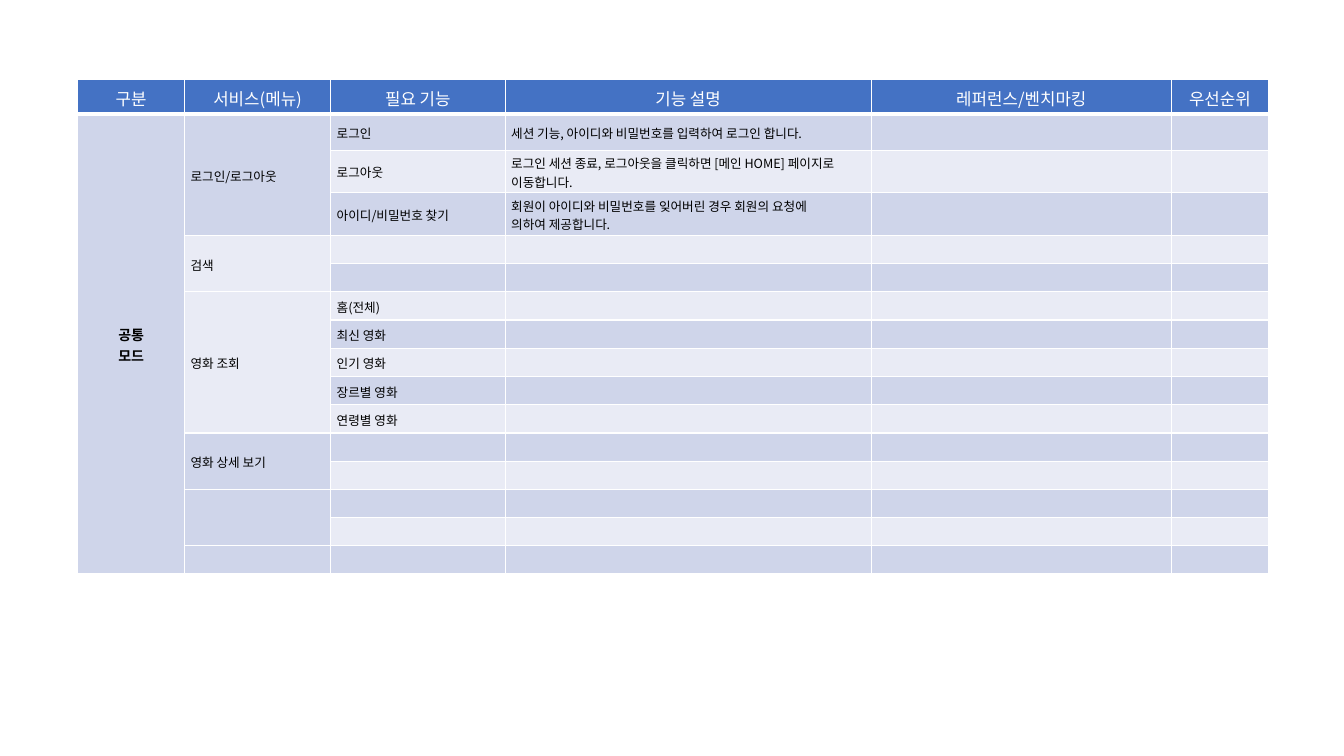
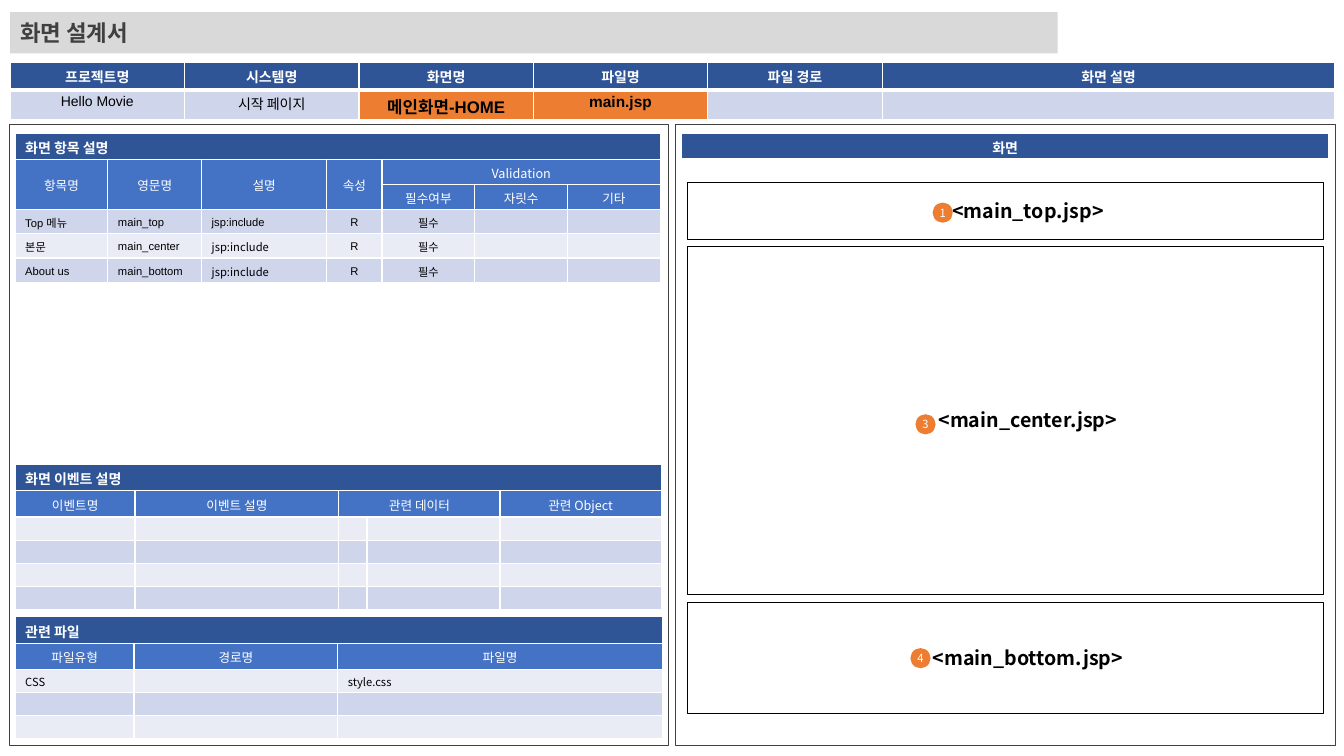
from dataclasses import dataclass, replace

from lxml import etree
from pptx import Presentation
from pptx.dml.color import RGBColor
from pptx.enum.shapes import MSO_SHAPE
from pptx.enum.text import MSO_ANCHOR, PP_ALIGN
from pptx.oxml.ns import qn
from pptx.util import Inches, Pt

RECT, PILL = MSO_SHAPE.RECTANGLE, MSO_SHAPE.ROUNDED_RECTANGLE
TOP, MIDDLE = MSO_ANCHOR.TOP, MSO_ANCHOR.MIDDLE
LEFT, CENTER = PP_ALIGN.LEFT, PP_ALIGN.CENTER

WHITE, BLACK, DARK_GRAY, LIGHT_GRAY = "FFFFFF", "000000", "404040", "D9D9D9"
NAVY, BLUE, ORANGE = "2F5597", "4472C4", "ED7D31"
BANDS = ("E9EBF5", "CFD5EA")
KOREAN, LATIN = "Noto Sans CJK KR", "Arial"


def rgb(value):
    return RGBColor.from_string(value)


@dataclass(frozen=True)
class Style:
    size: int
    color: str = BLACK
    bold: bool = False
    font: str = KOREAN
    align: int = LEFT
    fill: str = ""
    anchor: int = MIDDLE
    rule: int = 1


SECTION = Style(10, WHITE, True, fill=NAVY)
BANNER = replace(SECTION, align=CENTER, anchor=TOP, rule=3)
HEAD = Style(9, WHITE, align=CENTER, fill=BLUE)
MAIN_HEAD = replace(HEAD, size=12, rule=3)
BODY = Style(9)
SMALL = Style(8)
ITEM = replace(SMALL, font=LATIN)
INFO = Style(10, font=LATIN, align=CENTER, anchor=TOP)
INFO_KEY = replace(INFO, size=12, bold=True, fill=ORANGE)
TITLE = Style(16, DARK_GRAY, True)
LABEL = Style(14, bold=True, align=CENTER)
BADGE = Style(8, WHITE, align=CENTER)


class Deck:
    def __init__(self):
        self.prs = Presentation()
        self.prs.slide_width, self.prs.slide_height = Inches(13.33), Inches(7.5)
        self.slide = None

    def new_slide(self):
        self.slide = self.prs.slides.add_slide(self.prs.slide_layouts[6])

    def set_text(self, tf, text, style):
        tf.text = text
        for p in tf.paragraphs:
            p.alignment = style.align
            if not p.runs:
                etree.SubElement(p._p, qn("a:endParaRPr"), sz=str(style.size * 100))
            for r in p.runs:
                r.font.size = Pt(style.size)
                r.font.bold = style.bold
                r.font.color.rgb = rgb(style.color)
                r.font.name = style.font
                etree.SubElement(r._r.get_or_add_rPr(), qn("a:ea"), typeface=KOREAN)

    def box(self, at, fill=None, line=None, width=0.5, kind=RECT):
        s = self.slide.shapes.add_shape(kind, *map(Inches, at))
        s.shadow.inherit = False
        if fill:
            s.fill.solid()
            s.fill.fore_color.rgb = rgb(fill)
        else:
            s.fill.background()
        if line:
            s.line.color.rgb = rgb(line)
            s.line.width = Pt(width)
        else:
            s.line.fill.background()
        return s

    def title(self, at, text):
        tf = self.box(at, LIGHT_GRAY).text_frame
        tf.vertical_anchor = MIDDLE
        self.set_text(tf, text, TITLE)

    def centered(self, s, text, style):
        tf = s.text_frame
        tf.margin_left = tf.margin_right = tf.margin_top = tf.margin_bottom = 0
        tf.vertical_anchor = MIDDLE
        tf.word_wrap = True
        self.set_text(tf, text, style)

    def label(self, at, text):
        self.centered(self.slide.shapes.add_textbox(*map(Inches, at)), text, LABEL)

    def badge(self, x, y, text):
        s = self.box((x, y, 0.2, 0.2), ORANGE, kind=PILL)
        s.adjustments[0] = 0.5
        self.centered(s, text, BADGE)

    def borders(self, cell, bottom):
        tc_pr = cell._tc.get_or_add_tcPr()
        for side, width in (("L", 1), ("R", 1), ("T", 1), ("B", bottom)):
            ln = etree.SubElement(tc_pr, qn(f"a:ln{side}"), w=str(Pt(width)))
            fill = etree.SubElement(ln, qn("a:solidFill"))
            etree.SubElement(fill, qn("a:srgbClr"), val=WHITE)

    def table(self, x, y, widths, heights, rows, spans=(), special=None, pad=0.1):
        special = special or {}
        frame = self.slide.shapes.add_table(
            len(rows), len(widths), Inches(x), Inches(y),
            Inches(sum(widths)), Inches(sum(heights)))
        table = frame.table
        table.first_row = table.horz_banding = False
        for column, width in zip(table.columns, widths):
            column.width = Inches(width)
        for i, (height, (row_style, texts)) in enumerate(zip(heights, rows)):
            table.rows[i].height = Inches(height)
            for j in range(len(widths)):
                style = special.get((i, j), row_style)
                cell = table.cell(i, j)
                cell.margin_left = cell.margin_right = Inches(pad)
                cell.margin_top, cell.margin_bottom = Inches(0.04), Inches(0.02)
                cell.vertical_anchor = style.anchor
                self.borders(cell, style.rule)
                cell.fill.solid()
                cell.fill.fore_color.rgb = rgb(style.fill or BANDS[i % 2])
                self.set_text(cell.text_frame, texts[j] if j < len(texts) else "", style)
        for top, left, bottom, right in spans:
            table.cell(top, left).merge(table.cell(bottom, right))


def feature_slide(deck):
    deck.new_slide()
    features = [
        ("공통\n모드", "로그인/로그아웃", "로그인",
         "세션 기능, 아이디와 비밀번호를 입력하여 로그인 합니다."),
        ("", "", "로그아웃",
         "로그인 세션 종료, 로그아웃을 클릭하면 [메인 HOME] 페이지로 이동합니다."),
        ("", "", "아이디/비밀번호 찾기",
         "회원이 아이디와 비밀번호를 잊어버린 경우 회원의 요청에\n의하여 제공합니다."),
        ("", "검색"),
        (),
        ("", "영화 조회", "홈(전체)"),
        ("", "", "최신 영화"),
        ("", "", "인기 영화"),
        ("", "", "장르별 영화"),
        ("", "", "연령별 영화"),
        ("", "영화 상세 보기"),
        (), (), (), (),
    ]
    header = ("구분", "서비스(메뉴)", "필요 기능", "기능 설명", "레퍼런스/벤치마킹", "우선순위")
    groups = ((1, 3), (4, 5), (6, 10), (11, 12), (13, 14))
    deck.table(
        0.77, 0.79, [1.06, 1.45, 1.73, 3.63, 2.98, 0.96],
        [0.34, 0.36, 0.42, 0.42] + [0.28] * 12,
        [(MAIN_HEAD, header)] + [(BODY, texts) for texts in features],
        spans=[(1, 0, 15, 0)] + [(first, 1, last, 1) for first, last in groups],
        special={(1, 0): Style(10, bold=True, align=CENTER)}, pad=0.06)


def screen_slide(deck):
    deck.new_slide()
    for x in (0.09, 6.7):
        deck.box((x, 1.23, 6.54, 6.17), line=DARK_GRAY)
    deck.title((0.1, 0.12, 10.39, 0.41), "화면 설계서")

    frames = (
        (1.81, 0.56, "<main_top.jsp>", 9.25, 2.01, "1"),
        (2.44, 3.45, "<main_center.jsp>", 9.08, 4.11, "3"),
        (5.97, 1.11, "<main_bottom.jsp>", 9.03, 6.43, "4"),
    )
    for y, height, text, badge_x, badge_y, number in frames:
        deck.box((6.82, y, 6.3, height), WHITE, BLACK, 0.25)
        deck.label((9.15, y + height / 2 - 0.17, 2.09, 0.34), text)
        deck.badge(badge_x, badge_y, number)

    deck.table(
        0.1, 0.62, [1.73] * 5 + [4.49], [0.27, 0.3],
        [(replace(BANNER, font=LATIN),
          ("프로젝트명", "시스템명", "화면명", "파일명", "파일 경로", "화면 설명")),
         (INFO, ("Hello Movie", "시작 페이지", "메인화면-HOME", "main.jsp"))],
        special={(1, 2): INFO_KEY, (1, 3): replace(INFO_KEY, size=11)})

    item_styles = {(i, j): replace(ITEM, align=CENTER)
                   for i in (3, 4, 5) for j in range(3, 7)}
    item_styles.update({(i, 2): SMALL for i in (4, 5)})
    items = (("Top 메뉴", "main_top"), ("본문", "main_center"), ("About us", "main_bottom"))
    deck.table(
        0.15, 1.32, [0.92, 0.93, 1.24, 0.55] + [0.92] * 3,
        [0.26, 0.25, 0.25] + [0.24] * 3,
        [(SECTION, ("화면 항목 설명",)),
         (HEAD, ("항목명", "영문명", "설명", "속성", "Validation")),
         (HEAD, ("", "", "", "", "필수여부", "자릿수", "기타"))]
        + [(ITEM, item + ("jsp:include", "R", "필수")) for item in items],
        spans=[(0, 0, 0, 6), (1, 4, 1, 6)] + [(1, j, 2, j) for j in range(4)],
        special=item_styles)

    deck.table(
        0.15, 4.61, [1.19, 2.02, 0.28, 1.32, 1.6], [0.26, 0.26] + [0.23] * 4,
        [(SECTION, ("화면 이벤트 설명",)),
         (HEAD, ("이벤트명", "이벤트 설명", "관련 데이터", "", "관련 Object"))]
        + [(SMALL, ())] * 4,
        spans=[(0, 0, 0, 4), (1, 2, 1, 3)])

    deck.table(
        0.15, 6.12, [1.18, 2.02, 3.22], [0.26, 0.26] + [0.23] * 3,
        [(SECTION, ("관련 파일",)),
         (HEAD, ("파일유형", "경로명", "파일명")),
         (SMALL, ("CSS", "", "style.css")),
         (SMALL, ()), (SMALL, ())],
        spans=[(0, 0, 0, 2)])

    deck.table(6.76, 1.32, [6.42], [0.27], [(BANNER, ("화면",))])


def main():
    deck = Deck()
    feature_slide(deck)
    screen_slide(deck)
    deck.prs.save("out.pptx")


if __name__ == "__main__":
    main()
